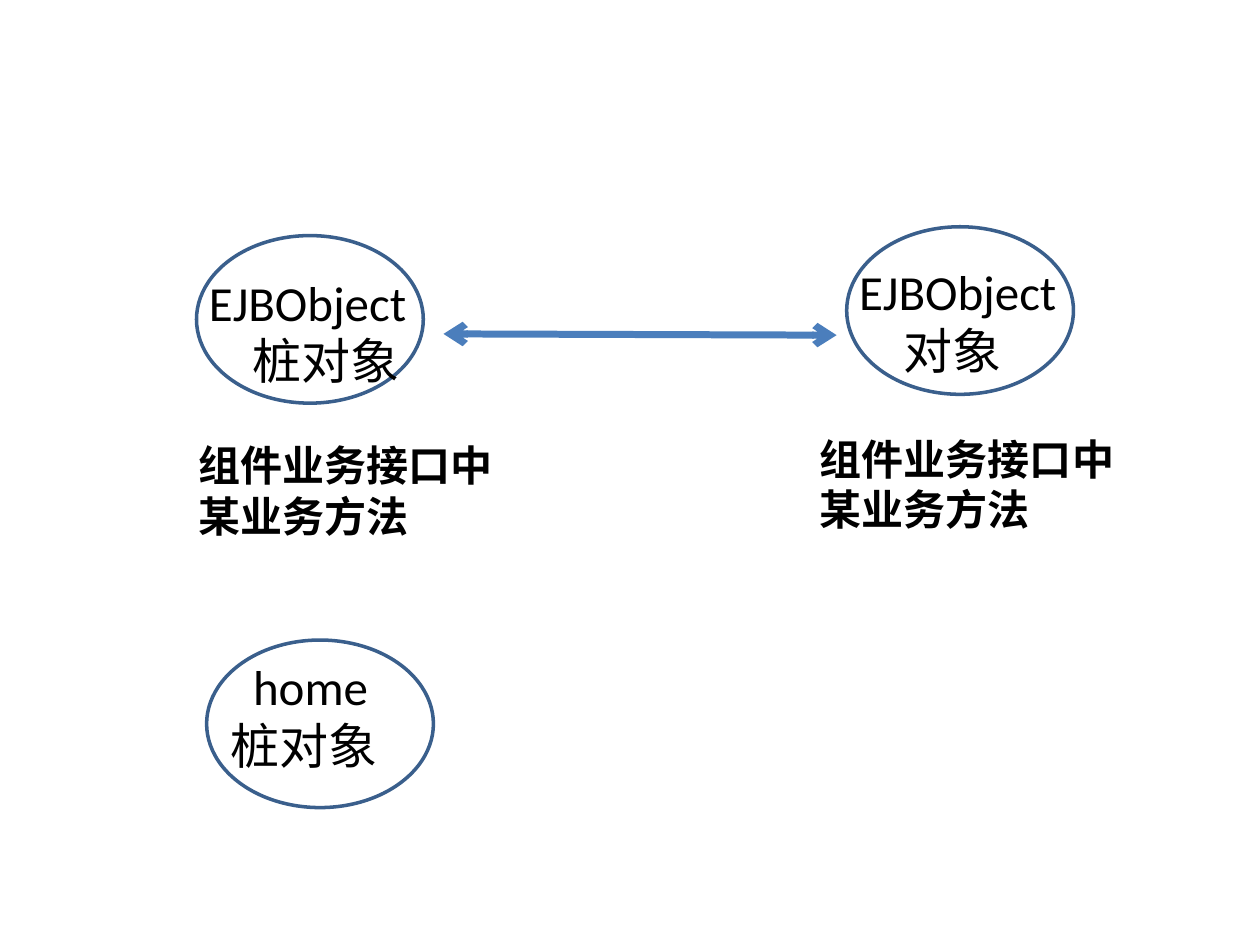
from pptx import Presentation
from pptx.dml.color import RGBColor
from pptx.enum.shapes import MSO_CONNECTOR, MSO_SHAPE
from pptx.oxml.ns import qn
from pptx.util import Inches, Pt
from lxml import etree

OVAL = MSO_SHAPE.OVAL
STRAIGHT = MSO_CONNECTOR.STRAIGHT

COLORS = {"outline": "3A5F8C", "arrow": "4B7EBC", "text": "000000"}


class Diagram:
    font = "Calibri"
    oval_w, oval_h = 1.8, 1.33

    def __init__(self, slide):
        self.slide = slide

    def color(self, name):
        return RGBColor.from_string(COLORS[name])

    def text(self, x, y, w, h, lines, size, bold=False):
        sp = self.slide.shapes.add_textbox(Inches(x), Inches(y), Inches(w), Inches(h))
        tf = sp.text_frame
        tf.word_wrap = True
        for i, (line, indent) in enumerate(lines):
            p = tf.paragraphs[0] if i == 0 else tf.add_paragraph()
            p._p.get_or_add_pPr().set("marL", str(Inches(indent)))
            r = p.add_run()
            r.text = line
            r.font.name = self.font
            r.font.size = Pt(size)
            r.font.bold = bold
            r.font.color.rgb = self.color("text")
        return sp

    def node(self, x, y, text_dy, text_w, lines):
        sp = self.slide.shapes.add_shape(
            OVAL, Inches(x), Inches(y), Inches(self.oval_w), Inches(self.oval_h))
        sp.shadow.inherit = False
        sp.fill.background()
        sp.line.color.rgb = self.color("outline")
        sp.line.width = Pt(2)
        label = self.text(x, y + text_dy, text_w, 1.04, lines, 28)
        self.slide.shapes.add_group_shape([sp, label])

    def caption(self, x, y, text):
        self.text(x, y, 2.66, 0.91, [(text, 0)], 24, bold=True)

    def double_arrow(self, x1, y1, x2, y2):
        cn = self.slide.shapes.add_connector(
            STRAIGHT, Inches(x1), Inches(y1), Inches(x2), Inches(y2))
        cn.line.color.rgb = self.color("arrow")
        cn.line.width = Pt(4)
        ln = cn.line._get_or_add_ln()
        for end in ("a:headEnd", "a:tailEnd"):
            etree.SubElement(ln, qn(end), type="arrow")
        etree.SubElement(cn._element.spPr, qn("a:effectLst"))


def main():
    prs = Presentation()
    prs.slide_width, prs.slide_height = Inches(10), Inches(7.5)
    d = Diagram(prs.slides.add_slide(prs.slide_layouts[6]))
    method = "组件业务接口中某业务方法"

    d.node(1.64, 5.08, 0.08, 1.64, [("home", 0.27), ("桩对象", 0.09)])
    d.node(1.56, 1.87, 0.24, 1.8, [("EJBObject", 0), ("桩对象", 0.35)])
    d.caption(1.48, 3.44, method)
    d.node(6.72, 1.8, 0.23, 1.8, [("EJBObject", 0), ("对象", 0.35)])
    d.caption(6.41, 3.39, method)
    d.double_arrow(3.52, 2.65, 6.64, 2.66)

    prs.save("out.pptx")


if __name__ == "__main__":
    main()
